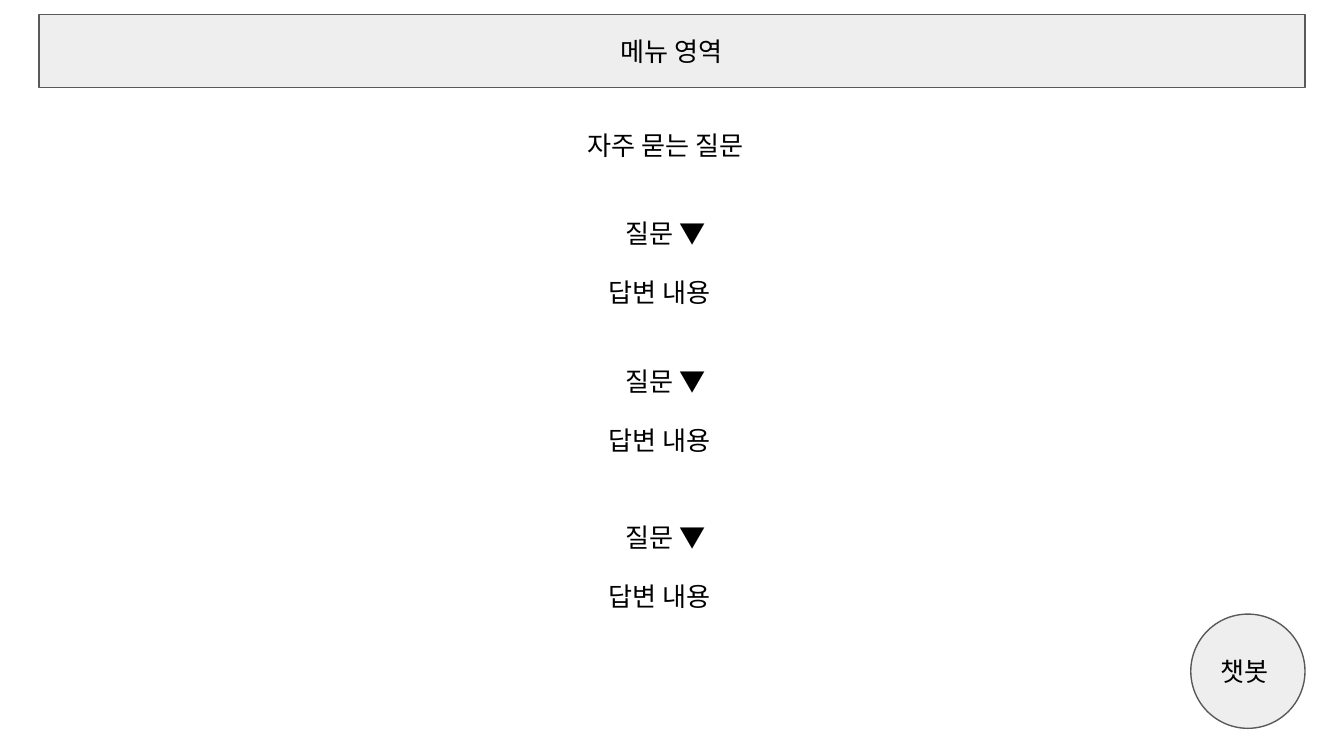
from pptx import Presentation
from pptx.dml.color import RGBColor
from pptx.enum.shapes import MSO_SHAPE as SHAPE
from pptx.enum.text import MSO_ANCHOR as ANCHOR, MSO_AUTO_SIZE as FIT, PP_ALIGN as ALIGN
from pptx.util import Pt

COLORS = {"fill": "EEEEEE", "line": "595959", "text": "000000"}
ROW = 31.7  # height of one line of text


def color(name):
    return RGBColor.from_string(COLORS[name])


def write(shape, text, align, anchor):
    frame = shape.text_frame
    frame.word_wrap = True
    frame.vertical_anchor = anchor
    frame.margin_left = frame.margin_right = Pt(7.2)
    frame.margin_top = frame.margin_bottom = Pt(7.2)
    frame.text = text
    line = frame.paragraphs[0]
    line.alignment = align
    font = line.runs[0].font
    font.name, font.size = "Arial", Pt(14)
    font.color.rgb = color("text")


def add_panel(slide, kind, box, text, align):
    """Grey outlined shape with a label."""
    shape = slide.shapes.add_shape(kind, *map(Pt, box))
    shape.shadow.inherit = False
    shape.fill.solid()
    shape.fill.fore_color.rgb = color("fill")
    shape.line.color.rgb = color("line")
    shape.line.width = Pt(0.75)
    write(shape, text, align, ANCHOR.MIDDLE)


def add_label(slide, left, top, width, text):
    """One centred line of text."""
    label = slide.shapes.add_textbox(Pt(left), Pt(top), Pt(width), Pt(ROW))
    write(label, text, ALIGN.CENTER, ANCHOR.TOP)
    label.text_frame.auto_size = FIT.SHAPE_TO_FIT_TEXT


def add_entry(slide, left, top, width):
    """Question with its answer right below, slightly to the left."""
    add_label(slide, left, top, width, "질문 ▼")
    add_label(slide, left - 2.9, top + ROW, width, "답변 내용")


def add_faq(slide, left, top, width):
    """Heading and three entries."""
    add_label(slide, left, top, width, "자주 묻는 질문")
    for drop in (47.5, 126.7, 210.3):
        add_entry(slide, left, top + drop, width)


def main():
    deck = Presentation()
    deck.slide_width, deck.slide_height = Pt(720), Pt(405)
    slide = deck.slides.add_slide(deck.slide_layouts[6])

    # Menu bar
    add_panel(slide, SHAPE.RECTANGLE, (20.9, 7.9, 678.2, 38.9),
              "메뉴 영역", ALIGN.CENTER)
    # Questions and answers
    add_faq(slide, 190.1, 61.9, 332.6)
    # Chatbot button
    add_panel(slide, SHAPE.OVAL, (637.9, 329, 61.2, 61.2), "챗봇", ALIGN.LEFT)

    deck.save("out.pptx")


if __name__ == "__main__":
    main()
